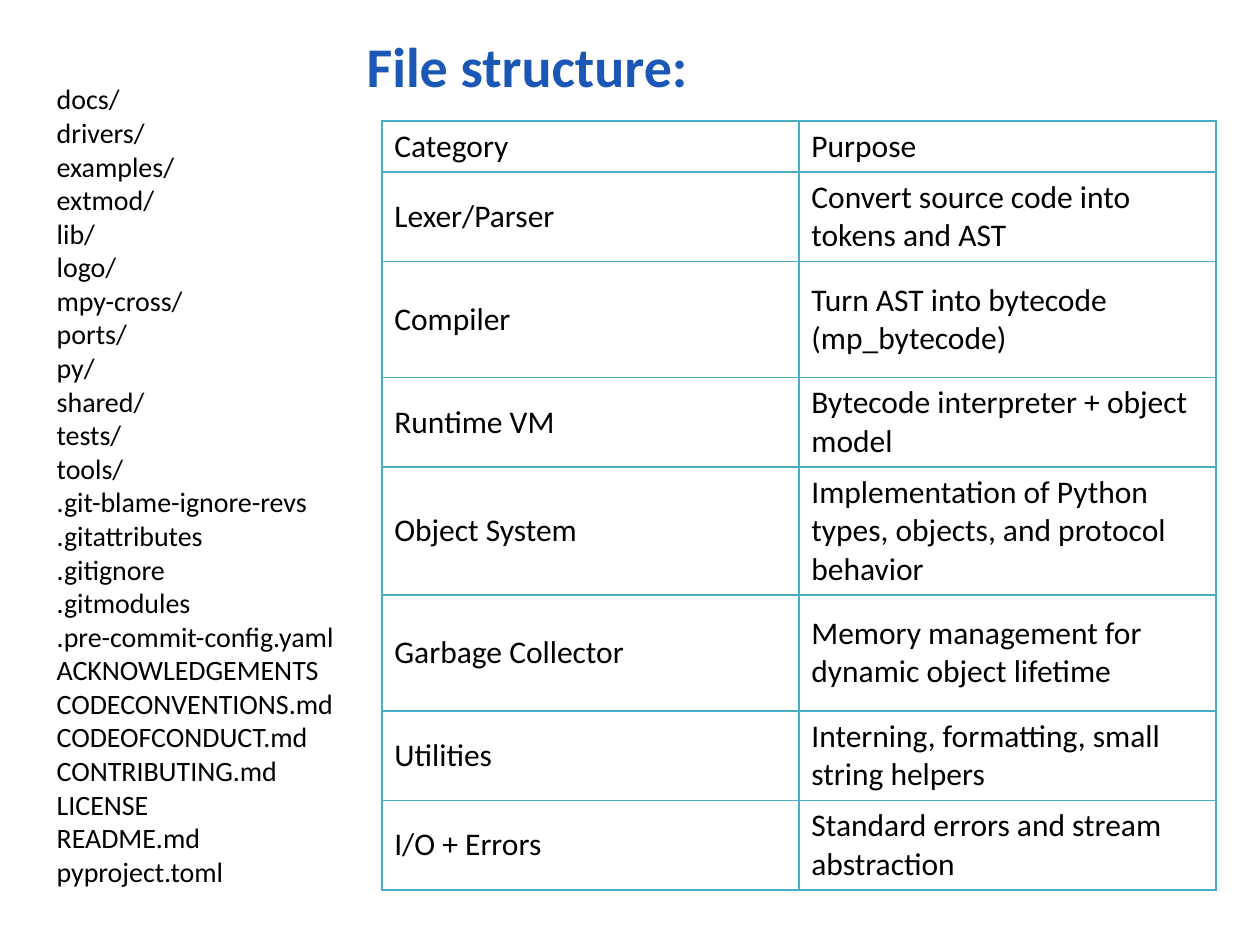
from lxml import etree
from pptx import Presentation
from pptx.dml.color import RGBColor
from pptx.enum.text import MSO_ANCHOR, MSO_AUTO_SIZE, PP_ALIGN
from pptx.oxml.ns import qn
from pptx.util import Inches, Pt

MIDDLE, TOP = MSO_ANCHOR.MIDDLE, MSO_ANCHOR.TOP
LEFT = PP_ALIGN.LEFT
NO_FIT = MSO_AUTO_SIZE.NONE
BLACK, BLUE, TEAL = "000000", "1B57B5", "4BACC6"

FILES = """docs/
drivers/
examples/
extmod/
lib/
logo/
mpy-cross/
ports/
py/
shared/
tests/
tools/
.git-blame-ignore-revs
.gitattributes
.gitignore
.gitmodules
.pre-commit-config.yaml
ACKNOWLEDGEMENTS
CODECONVENTIONS.md
CODEOFCONDUCT.md
CONTRIBUTING.md
LICENSE
README.md
pyproject.toml"""

ROWS = [
    (0.4, "Category", "Purpose"),
    (0.7, "Lexer/Parser", "Convert source code into tokens and AST"),
    (0.92, "Compiler", "Turn AST into bytecode (mp_bytecode)"),
    (0.7, "Runtime VM", "Bytecode interpreter + object model"),
    (1.0, "Object System", "Implementation of Python types, objects, and protocol behavior"),
    (0.92, "Garbage Collector", "Memory management for dynamic object lifetime"),
    (0.7, "Utilities", "Interning, formatting, small string helpers"),
    (0.7, "I/O + Errors", "Standard errors and stream abstraction"),
]


def color(value):
    return RGBColor.from_string(value)


def write(frame, text, size, text_color, bold=False):
    frame.text = text
    for paragraph in frame.paragraphs:
        paragraph.alignment = LEFT
        paragraph.space_before = Pt(0)
        font = paragraph.runs[0].font
        for name, value in {"name": "Calibri", "size": Pt(size), "bold": bold}.items():
            setattr(font, name, value)
        font.color.rgb = color(text_color)


presentation = Presentation()
presentation.slide_width, presentation.slide_height = Inches(10), Inches(7.5)
slide = presentation.slides.add_slide(presentation.slide_layouts[1])
title, file_list = slide.placeholders

for shape, box, anchor, content in (
    (title, (2.81, 0.2, 5, 0.64), MIDDLE, ("File structure:", 32, BLUE, True)),
    (file_list, (0.35, 0.6, 4.33, 6.77), TOP, (FILES, 16, BLACK)),
):
    for name, value in zip(("left", "top", "width", "height"), box):
        setattr(shape, name, Inches(value))
    frame = shape.text_frame
    for name, value in {"word_wrap": True, "auto_size": NO_FIT, "vertical_anchor": anchor}.items():
        setattr(frame, name, value)
    write(frame, *content)

for paragraph in file_list.text_frame.paragraphs:
    properties = paragraph._p.get_or_add_pPr()
    properties.set("marL", "0")
    properties.set("indent", "0")
    etree.SubElement(properties, qn("a:buNone"))

table_height = sum(row[0] for row in ROWS)
table = slide.shapes.add_table(
    len(ROWS), 2, Inches(3.03), Inches(0.96), Inches(6.62), Inches(table_height)
).table
table.first_row = table.horz_banding = False

for row, (height, *texts) in zip(table.rows, ROWS):
    row.height = Inches(height)
    for cell, text in zip(row.cells, texts):
        write(cell.text_frame, text, 18, BLACK)
        cell.vertical_anchor = MIDDLE
        cell.fill.background()
        properties = cell._tc.get_or_add_tcPr()
        for index, side in enumerate(("lnL", "lnR", "lnT", "lnB")):
            line = etree.Element(qn(f"a:{side}"), w=str(Pt(1)))
            fill = etree.SubElement(line, qn("a:solidFill"))
            etree.SubElement(fill, qn("a:srgbClr"), val=TEAL)
            properties.insert(index, line)

presentation.save("out.pptx")
